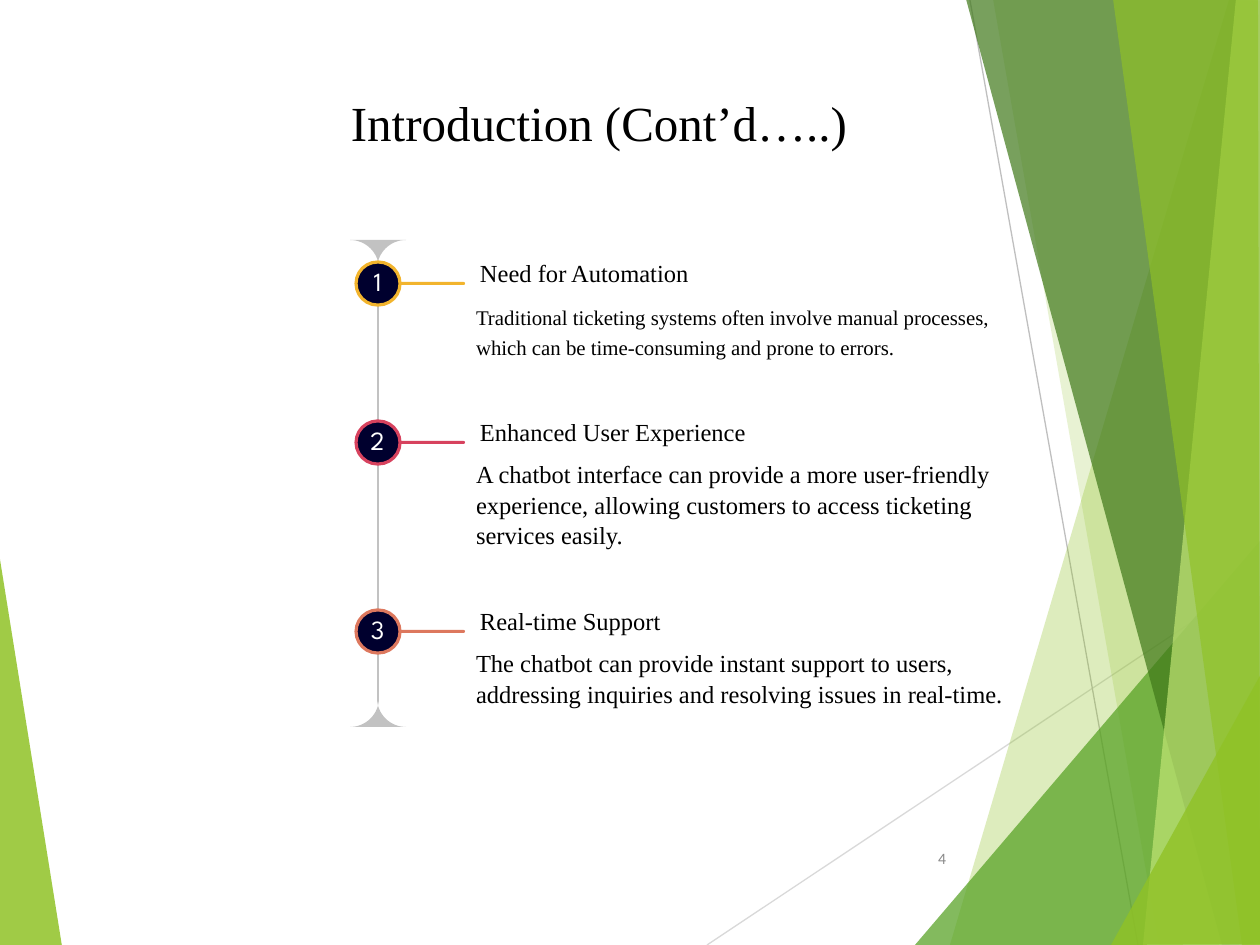
from lxml import etree
from pptx import Presentation
from pptx.dml.color import RGBColor
from pptx.enum.shapes import MSO_CONNECTOR, MSO_SHAPE
from pptx.enum.text import MSO_ANCHOR, PP_ALIGN
from pptx.oxml.ns import qn
from pptx.util import Emu, Pt

STRAIGHT = MSO_CONNECTOR.STRAIGHT
ROUNDED = MSO_SHAPE.ROUNDED_RECTANGLE
LEFT, CENTER, RIGHT = PP_ALIGN.LEFT, PP_ALIGN.CENTER, PP_ALIGN.RIGHT
TOP, MIDDLE = MSO_ANCHOR.TOP, MSO_ANCHOR.MIDDLE

SCALE = 914400 / 126
FINE = 100  # freeform units per px, so that curves stay smooth
PAGE_WIDTH, PAGE_HEIGHT = 1260, 945
SERIF = "Times New Roman"
BLACK, WHITE, NAVY = "000000", "FFFFFF", "00002E"

# Outline points, fill colour, opacity in percent; back to front
LEFT_WEDGE = ([(-1, 553), (62, 946), (-1, 945)], "90C226", 85)
RIGHT_FACETS = [
    ([(1229, 0), (950, 945), (1262, 946), (1261, 1)], "90C226", 30),
    ([(993, -1), (1159, 945), (1261, 945), (1261, -1)], "90C226", 20),
    ([(915, 945), (1260, 541), (1261, 945)], "54A021", 72),
    ([(966, -1), (1222, 945), (1261, 944), (1261, -1)], "3F7819", 70),
    ([(1236, -1), (1143, 945), (1261, 945), (1260, -1)], "C0E474", 70),
    ([(1113, -1), (1242, 945), (1260, 945), (1258, -1)], "90C226", 65),
    ([(1111, 945), (1261, 674), (1261, 944)], "90C226", 80),
]
HAIRLINES = [((707, 945), (1261, 576), "D9D9D9"), ((970, 0), (1138, 945), "BFBFBF")]

# Top, accent, heading, body, body size
STEPS = [
    (262, "F2B42D", "Need for Automation",
     "Traditional ticketing systems often involve manual processes, "
     "which can be time-consuming and prone to errors.", 11.9),
    (421, "D7425E", "Enhanced User Experience",
     "A chatbot interface can provide a more user-friendly experience, "
     "allowing customers to access ticketing services easily.", 14),
    (610, "DD785E", "Real-time Support",
     "The chatbot can provide instant support to users, "
     "addressing inquiries and resolving issues in real-time.", 14),
]


def px(length):
    return Emu(round(length * SCALE))


def rgb(value):
    return RGBColor.from_string(value)


def paint(shape, color, opacity=100):
    """Give a shape a flat fill without outline or shadow."""
    shape.shadow.inherit = False
    shape.line.fill.background()
    shape.fill.solid()
    shape.fill.fore_color.rgb = rgb(color)
    if opacity < 100:
        tint = shape.fill._xPr.find(qn("a:solidFill"))[0]
        etree.SubElement(tint, qn("a:alpha"), val=str(opacity * 1000))


def add_polygon(page, points, color, opacity):
    corners = [(round(x * FINE), round(y * FINE)) for x, y in points]
    builder = page.shapes.build_freeform(*corners[0], scale=SCALE / FINE)
    builder.add_line_segments(corners[1:], close=True)
    paint(builder.convert_to_shape(), color, opacity)


def add_hairline(page, start, end, color):
    line = page.shapes.add_connector(STRAIGHT, *map(px, start + end))
    line.line.color.rgb = rgb(color)
    line.line.width = Pt(0.75)
    etree.SubElement(line._element.spPr, qn("a:effectLst"))


def add_pill(page, left, top, width, height, color):
    pill = page.shapes.add_shape(ROUNDED, px(left), px(top), px(width), px(height))
    pill.adjustments[0] = 0.5
    paint(pill, color)
    return pill


def add_text(page, area, text, size, color=BLACK, font=SERIF, align=LEFT,
             spacing=None, wrap=True, anchor=TOP, margins=(0, 0)):
    box = page.shapes.add_textbox(*map(px, area))
    frame = box.text_frame
    frame.text = text
    frame.word_wrap = wrap
    frame.vertical_anchor = anchor
    frame.margin_left = frame.margin_right = px(margins[0])
    frame.margin_top = frame.margin_bottom = px(margins[1])
    para = frame.paragraphs[0]
    para.alignment = align
    if spacing:
        para.line_spacing = Pt(spacing)
    span = para.runs[0]
    span.font.name = font
    span.font.size = Pt(size)
    span.font.color.rgb = rgb(color)


def curve(start, control_a, control_b, end, count=16):
    """Points along a cubic Bezier curve."""
    points = []
    for index in range(count + 1):
        t = index / count
        weights = ((1 - t) ** 3, 3 * t * (1 - t) ** 2, 3 * t * t * (1 - t), t ** 3)
        points.append(tuple(
            sum(weight * value for weight, value in zip(weights, axis))
            for axis in zip(start, control_a, control_b, end)))
    return points


def add_backdrop(page):
    add_polygon(page, *LEFT_WEDGE)
    for hairline in HAIRLINES:
        add_hairline(page, *hairline)
    for facet in RIGHT_FACETS:
        add_polygon(page, *facet)


def add_spine(page, left, top, width, height):
    """Draw a thin vertical bar that flares out at both ends."""
    right, bottom, reach = left + width, top + height, 29
    near, far = left + width // 2 - 1, left + width // 2 + 1

    def flare(outer, inner, edge, inward):
        pull = 16 if outer < inner else -16
        return curve((outer, edge), (outer + pull, edge),
                     (inner, edge + inward * 13), (inner, edge + inward * reach))

    points = (flare(right, near, top, 1) + flare(right, near, bottom, -1)[::-1]
              + flare(left, far, bottom, -1) + flare(left, far, top, 1)[::-1])
    add_polygon(page, points, BLACK, 24)


def add_step(page, left, top, number, accent, heading, body, body_size):
    add_pill(page, left + 40, top + 20, 69, 3, accent)
    badge = add_pill(page, left, top, 44, 43, NAVY)
    badge.line.color.rgb = rgb(accent)
    badge.line.width = Pt(1.81)
    add_text(page, (left + 13, top + 8, 17, 28), str(number), 15, WHITE,
             "League Spartan", CENTER, 15.2, wrap=False)
    add_text(page, (left + 124, top - 3, 320, 28), heading, 14, spacing=16)
    add_text(page, (left + 120, top + 37, 534, 62), body, body_size, spacing=17.5)


def main():
    deck = Presentation()
    deck.slide_width, deck.slide_height = px(PAGE_WIDTH), px(PAGE_HEIGHT)
    page = deck.slides.add_slide(deck.slide_layouts[6])
    add_backdrop(page)
    add_text(page, (351, 95, 540, 57), "Introduction (Cont’d…..)", 28, spacing=32.2)
    add_spine(page, 350, 240, 56, 487)
    for number, (top, *details) in enumerate(STEPS, start=1):
        add_step(page, 356, top, number, *details)
    add_text(page, (888, 833, 71, 50), "4", 9, "898989", "Calibri", RIGHT,
             anchor=MIDDLE, margins=(13, 6))
    deck.save("out.pptx")


if __name__ == "__main__":
    main()
